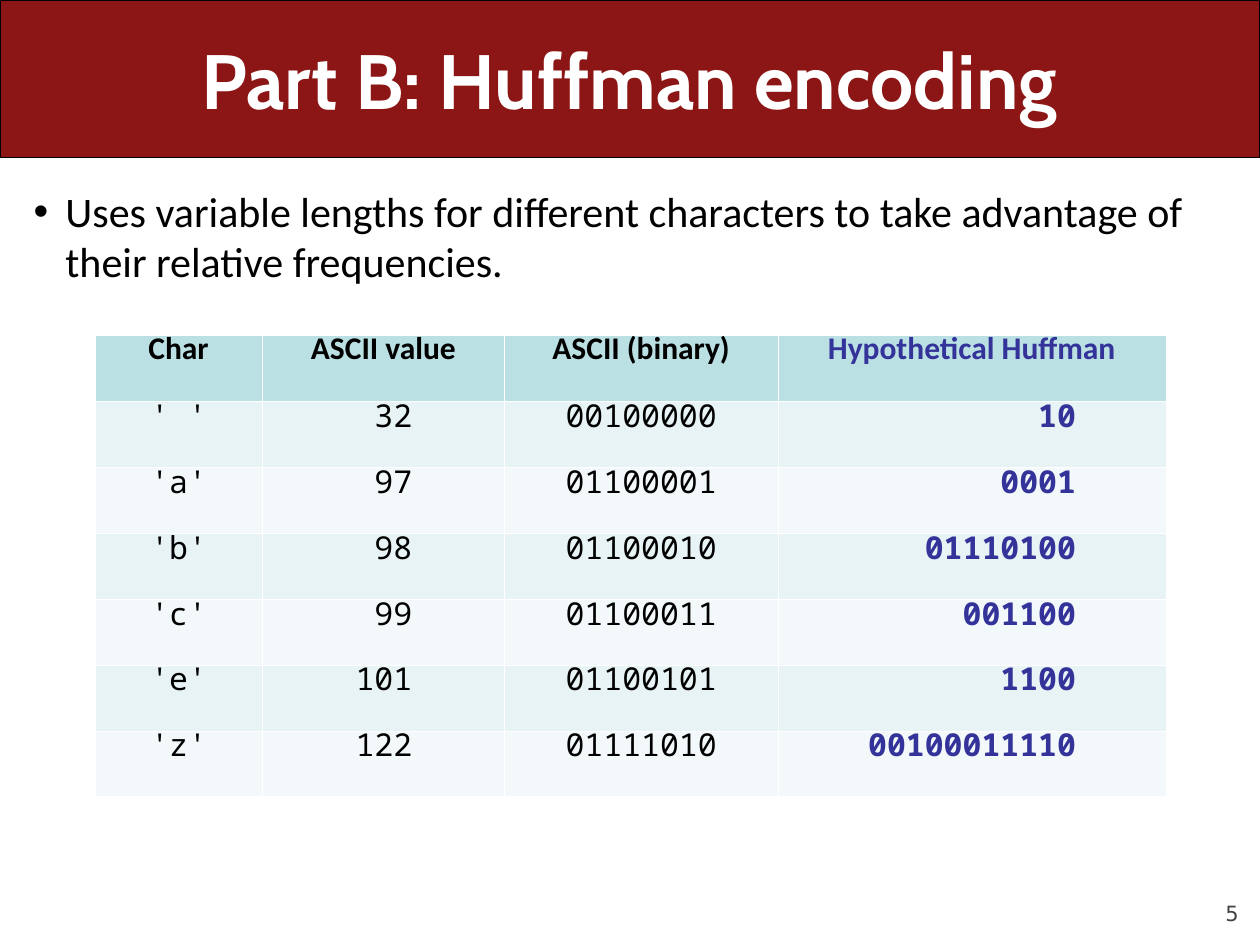
import pptx
import pptx.dml.color
import pptx.enum.shapes
import pptx.enum.text
import pptx.oxml
import pptx.oxml.ns
import pptx.util
from pptx.util import Cm, Pt

ALIGN = pptx.enum.text.PP_ALIGN
ANCHOR = pptx.enum.text.MSO_ANCHOR

HEADERS = ["Char", "ASCII value", "ASCII (binary)", "Hypothetical Huffman"]
ROWS = [
    ("' '", "32", "00100000", "10"),
    ("'a'", "97", "01100001", "0001"),
    ("'b'", "98", "01100010", "01110100"),
    ("'c'", "99", "01100011", "001100"),
    ("'e'", "101", "01100101", "1100"),
    ("'z'", "122", "01111010", "00100011110"),
]
COLUMN_WIDTHS = [3.38, 4.88, 5.51, 7.82]
RIGHT_INSETS = {1: 1.86, 3: 1.81}  # columns whose values are right-aligned
HUFFMAN = 3


def rgb(value):
    return pptx.dml.color.RGBColor.from_string(value)


def xml(text):
    return pptx.oxml.parse_xml(text.replace(">", " " + pptx.oxml.ns.nsdecls("a") + ">", 1))


def write(tf, text, color, paragraph=None, **font):
    """Fill the first paragraph and format it from the given values."""
    p = tf.paragraphs[0]
    for name, value in (paragraph or {}).items():
        setattr(p, name, value)
    r = p.add_run()
    r.text = text
    r.font.color.rgb = rgb(color)
    for name, value in font.items():
        setattr(r.font, name, value)
    return p


def add_text(s, box, inset=(0.25, 0.13)):
    tf = s.shapes.add_textbox(*map(Cm, box)).text_frame
    tf.word_wrap = True
    tf.margin_left = tf.margin_right = Cm(inset[0])
    tf.margin_top = tf.margin_bottom = Cm(inset[1])
    return tf


def add_header(s, box, text):
    left, top, width, height = box
    band = s.shapes.add_shape(
        pptx.enum.shapes.MSO_SHAPE.ROUNDED_RECTANGLE, *map(Cm, box))
    band.adjustments[0] = 0
    band.shadow.inherit = False
    band.fill.solid()
    band.fill.fore_color.rgb = rgb("8C1515")
    band.line.color.rgb = rgb("000000")
    band.line.width = Pt(0.75)

    title = s.shapes.title
    title.element.addprevious(band.element)
    title.left, title.top = Cm(left + 1.27), Cm(top)
    title.width, title.height = Cm(width - 2.54), Cm(height)
    tf = title.text_frame
    tf.vertical_anchor = ANCHOR.MIDDLE
    tf.auto_size = pptx.enum.text.MSO_AUTO_SIZE.NONE
    write(tf, text, "FFFFFF", {"alignment": ALIGN.CENTER},
          name="Cabin", size=Pt(44), bold=True)


def add_bullet(s, box, text):
    p = write(add_text(s, box), text, "000000", {"space_before": Pt(6)},
              name="Calibri", size=Pt(24))
    pPr = p._p.get_or_add_pPr()
    pPr.set("marL", str(Cm(0.64)))
    pPr.set("indent", str(-Cm(0.64)))
    pPr.append(xml('<a:buClr><a:srgbClr val="000000"/></a:buClr>'))
    pPr.append(xml('<a:buFont typeface="Arial"></a:buFont>'))
    pPr.append(xml('<a:buChar char="•"></a:buChar>'))


def set_borders(cell, width):
    tcPr = cell._tc.get_or_add_tcPr()
    for i, side in enumerate("LRTB"):
        tcPr.insert(i, xml(
            f'<a:ln{side} w="{Pt(width)}"><a:solidFill><a:srgbClr val="FFFFFF"/>'
            f'</a:solidFill></a:ln{side}>'))


def fill_cell(cell, text, row, column):
    cell.fill.solid()
    cell.fill.fore_color.rgb = rgb(
        "BBE0E3" if row == 0 else "E7F3F4" if row % 2 else "F3F9FA")
    set_borders(cell, 0.06)
    paragraph = {"alignment": ALIGN.CENTER, "line_spacing": 0.58}
    if row and column in RIGHT_INSETS:
        paragraph["alignment"] = ALIGN.RIGHT
        cell.margin_right = Cm(RIGHT_INSETS[column])
    write(cell.text_frame, text, "333399" if column == HUFFMAN else "000000",
          paragraph, name="Noto Sans Mono" if row else "Calibri",
          size=Pt(18), bold=row == 0 or column == HUFFMAN)


def add_code_table(s, box):
    rows = [HEADERS, *ROWS]
    table = s.shapes.add_table(len(rows), len(HEADERS), *map(Cm, box)).table
    for column, width in zip(table.columns, COLUMN_WIDTHS):
        column.width = Cm(width)
    for i, values in enumerate(rows):
        table.rows[i].height = Cm(box[3] / len(rows))
        for j, text in enumerate(values):
            fill_cell(table.cell(i, j), text, i, j)


def add_page_number(s, box, number):
    tf = add_text(s, box, inset=(0, 0))
    tf.vertical_anchor = ANCHOR.BOTTOM
    write(tf, number, "424242",
          {"alignment": ALIGN.RIGHT, "space_before": Pt(5)},
          name="DejaVu Sans", size=Pt(12))


def main():
    prs = pptx.Presentation()
    prs.slide_width, prs.slide_height = Cm(25.4), Cm(19.05)
    s = prs.slides.add_slide(prs.slide_layouts.get_by_name("Title Only"))
    add_header(s, (0, 0, 25.4, 3.18), "Part B: Huffman encoding")
    add_bullet(s, (0.43, 3.61, 24.56, 14.4),
               "Uses variable lengths for different characters to take "
               "advantage of their relative frequencies.")
    add_code_table(s, (1.91, 6.76, sum(COLUMN_WIDTHS), 9.3))
    add_page_number(s, (22.86, 17.65, 2.11, 1.02), "5")
    prs.save("out.pptx")


if __name__ == "__main__":
    main()
